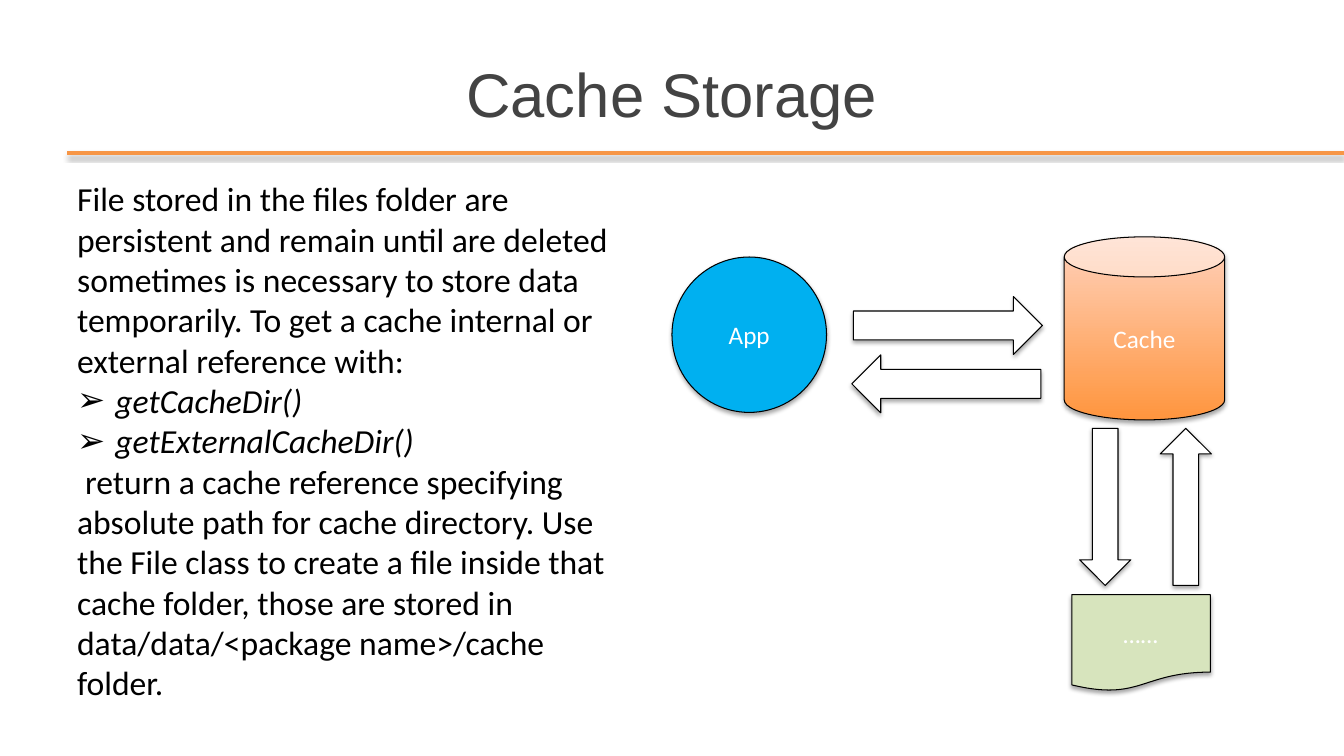
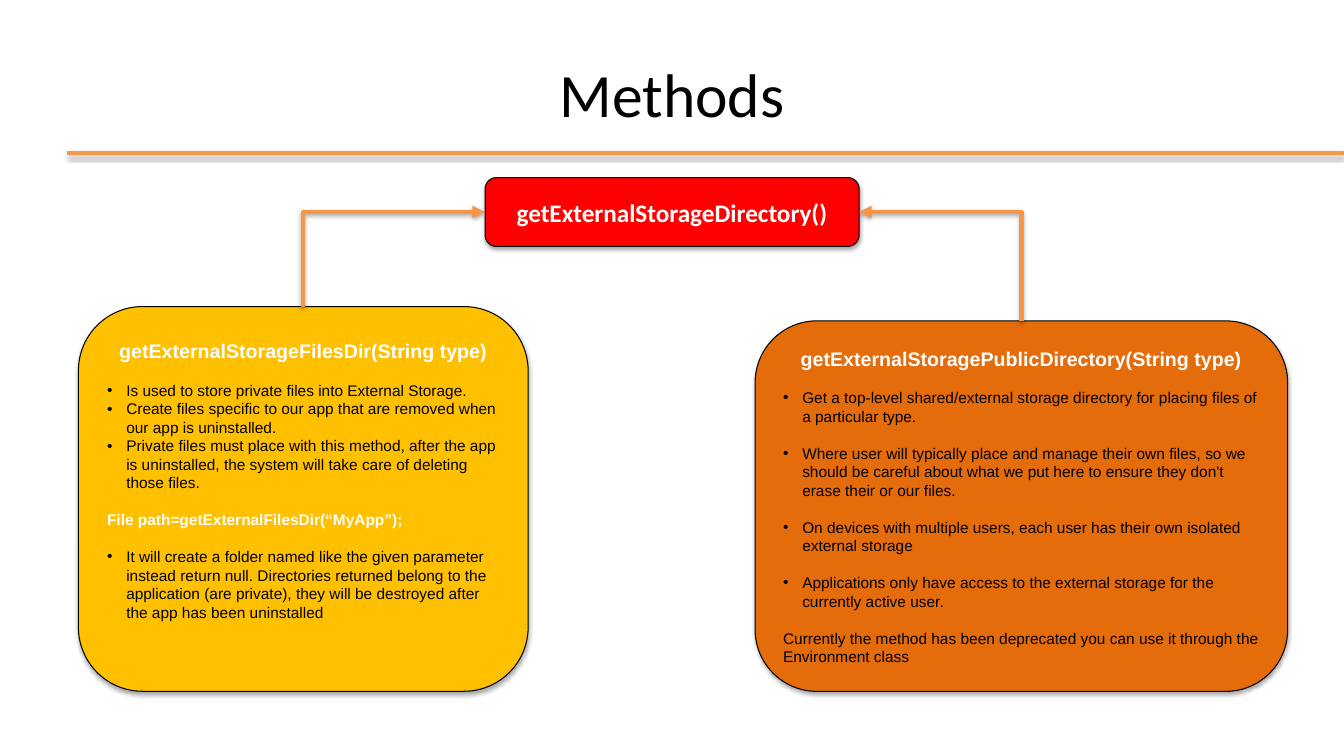
from lxml import etree
from pptx import Presentation, util as u
from pptx.dml.color import RGBColor
from pptx.enum import shapes, text
from pptx.oxml.ns import qn

COLORS = {
    "ink": "000000", "title": "434343", "white": "FFFFFF", "accent": "F79646",
    "app": "00B0F0", "cache_low": "FF953E", "cache_high": "FFD2BD",
    "document": "D7E4BD", "root": "FF0000", "private": "FFC000",
    "public": "E46C0A",
}
COLUMNS, ROWS = 80, 45
LEADING = 1.2
SHAPE = shapes.MSO_SHAPE


def rgb(name):
    return RGBColor.from_string(COLORS[name])


class Deck:
    """Shared style plus the slide being built, on an 80 x 45 grid."""

    def __init__(self):
        self.prs = Presentation()
        self.prs.slide_width = u.Inches(13.33)
        self.prs.slide_height = u.Inches(7.5)
        self.slide = None

    def grid(self, *cells):
        """Turn column, row, column, row ... into lengths."""
        steps = (self.prs.slide_width / COLUMNS, self.prs.slide_height / ROWS)
        return [round(cell * steps[i % 2]) for i, cell in enumerate(cells)]

    def new_slide(self, title, font="Calibri", color="ink"):
        self.slide = self.prs.slides.add_slide(self.prs.slide_layouts[6])
        self.connector(shapes.MSO_CONNECTOR.STRAIGHT, 4, 9.12, 80, 9.12)
        frame = self.text_box(4, 1.8, 72, 7.5)
        frame.vertical_anchor = text.MSO_ANCHOR.MIDDLE
        self.paragraph(frame, title, 44, color, font, center=True)

    def shadow(self, item):
        props = item._element.spPr
        effects = props.find(qn("a:effectLst"))
        if effects is None:
            effects = etree.SubElement(props, qn("a:effectLst"))
        outer = etree.SubElement(effects, qn("a:outerShdw"), blurRad="40000",
                                 dist="23000", dir="5400000", rotWithShape="0")
        black = etree.SubElement(outer, qn("a:srgbClr"), val=COLORS["ink"])
        etree.SubElement(black, qn("a:alpha"), val="35000")

    def connector(self, kind, *ends):
        line = self.slide.shapes.add_connector(kind, *self.grid(*ends))
        line.line.color.rgb = rgb("accent")
        line.line.width = u.Pt(3)
        self.shadow(line)
        return line

    def elbow(self, target, side, source):
        """Bent line from the top of source, with its arrowhead at target."""
        line = self.connector(shapes.MSO_CONNECTOR.ELBOW, 0, 0, 1, 1)
        line.begin_connect(target, side)
        line.end_connect(source, 0)
        props = line._element.spPr
        props.find(qn("a:prstGeom")).set("prst", "bentConnector2")
        etree.SubElement(props.find(qn("a:ln")), qn("a:headEnd"), type="triangle")

    def text_box(self, *cells):
        frame = self.slide.shapes.add_textbox(*self.grid(*cells)).text_frame
        frame.word_wrap = True
        return frame

    def shape(self, kind, cells, fill, label=None, **style):
        item = self.slide.shapes.add_shape(kind, *self.grid(*cells))
        item.shadow.inherit = False
        if isinstance(fill, tuple):
            item.fill.gradient()
            item.fill.gradient_angle = 90
            for stop, color in zip(item.fill.gradient_stops, fill):
                stop.color.rgb = rgb(color)
        else:
            item.fill.solid()
            item.fill.fore_color.rgb = rgb(fill)
        item.line.color.rgb = rgb("ink")
        item.line.width = u.Pt(0.75)
        self.shadow(item)
        item.text_frame.word_wrap = True
        item.text_frame.vertical_anchor = text.MSO_ANCHOR.MIDDLE
        if label:
            self.paragraph(item.text_frame, label, 18, "white", center=True, **style)
        return item

    def paragraph(self, frame, words, size, color="ink", font="Calibri", bold=False,
                  italic=False, center=False, bullet=None, hang=0, first=0,
                  before=0, exact=False):
        """Fill the first paragraph while it is empty, else add one."""
        para = frame.paragraphs[-1]
        if para.text:
            para = frame.add_paragraph()
        para.text = words
        para.alignment = text.PP_ALIGN.CENTER if center else text.PP_ALIGN.LEFT
        para.space_before = u.Pt(before)
        if exact:
            para.line_spacing = u.Pt(size * LEADING)
        props = para._p.get_or_add_pPr()
        props.set("marL", str(u.Inches(hang)))
        props.set("indent", str(u.Inches(first - hang)))
        if bullet:
            etree.SubElement(props, qn("a:buFont"), typeface="Arial")
            etree.SubElement(props, qn("a:buChar"), char=bullet)
        style = para.runs[0].font
        style.name, style.size = font, u.Pt(size)
        style.bold, style.italic = bold, italic
        style.color.rgb = rgb(color)

    def panel(self, cells, fill, heading, items):
        """Rounded panel; items are (kind, gap above in lines, words)."""
        item = self.shape(SHAPE.ROUNDED_RECTANGLE, cells, fill)
        frame = item.text_frame
        self.paragraph(frame, heading, 14, "white", "Arial", bold=True,
                       center=True, exact=True)
        kinds = {"bullet": {"bullet": "•", "hang": 0.19}, "plain": {},
                 "code": {"color": "white", "bold": True}}
        for kind, gap, words in items:
            self.paragraph(frame, words, 11, font="Arial", exact=True,
                           before=gap * 11 * LEADING, **kinds[kind])
        return item


def cache_storage(deck):
    deck.new_slide("Cache Storage", "Arial", "title")

    # Explanation
    body = deck.text_box(4, 10.32, 33.7, 31.68)
    method = {"italic": True, "bullet": "➢", "hang": 0.38}
    for words, style in (
        ("File stored in the files folder are persistent and remain until are "
         "deleted sometimes is necessary to store data temporarily. To get a "
         "cache internal or external reference with:", {}),
        ("getCacheDir()", method),
        ("getExternalCacheDir()", method),
        ("return a cache reference specifying absolute path for cache "
         "directory. Use the File class to create a file inside that cache "
         "folder, those are stored in data/data/<package name>/cache folder.",
         {"first": 0.08}),
    ):
        deck.paragraph(body, words, 24, exact=True, **style)

    # App, cache and stored file
    deck.shape(SHAPE.OVAL, (40, 15.3, 9.2, 9.25), "app", "App")
    deck.shape(SHAPE.CAN, (63.35, 14.1, 9.55, 10.9),
               ("cache_low", "cache_high"), "Cache")
    deck.shape(SHAPE.FLOWCHART_DOCUMENT, (63.8, 35.4, 8.25, 5.75),
               "document", "……", italic=True)

    # Arrows between them
    for kind, cells in (
        (SHAPE.RIGHT_ARROW, (50.8, 17.65, 11.25, 3.45)),
        (SHAPE.LEFT_ARROW, (50.7, 21.12, 11.25, 3.45)),
        (SHAPE.DOWN_ARROW, (64.26, 25.5, 3.05, 9.35)),
        (SHAPE.UP_ARROW, (69.06, 25.5, 3.05, 9.35)),
    ):
        deck.shape(kind, cells, "white")


def methods(deck):
    deck.new_slide("Methods")

    # Root method
    root = deck.shape(SHAPE.ROUNDED_RECTANGLE, (28.87, 10.57, 22.27, 4.1),
                      "root", "getExternalStorageDirectory()", bold=True)

    # Private and public directories
    private = deck.panel(
        (4.67, 18.25, 26.77, 22.9), "private",
        "getExternalStorageFilesDir(String type)", (
            ("bullet", 1, "Is used to store private files into External Storage."),
            ("bullet", 0, "Create files specific to our app that are removed when "
                          "our app is uninstalled."),
            ("bullet", 0, "Private files must place with this method, after the "
                          "app is uninstalled, the system will take care of "
                          "deleting those files."),
            ("code", 1, "File path=getExternalFilesDir(“MyApp”);"),
            ("bullet", 1, "It will create a folder named like the given parameter "
                          "instead return null. Directories returned belong to "
                          "the application (are private), they will be destroyed "
                          "after the app has been uninstalled"),
        ))
    private.text_frame.margin_bottom = u.Inches(0.42)
    public = deck.panel(
        (44.95, 19.1, 31.7, 22.05), "public",
        "getExternalStoragePublicDirectory(String type)", (
            ("bullet", 1, "Get a top-level shared/external storage directory for "
                          "placing files of a particular type."),
            ("bullet", 1, "Where user will typically place and manage their own "
                          "files, so we should be careful about what we put here "
                          "to ensure they don't erase their or our files."),
            ("bullet", 1, "On devices with multiple users, each user has their "
                          "own isolated external storage"),
            ("bullet", 1, "Applications only have access to the external storage "
                          "for the currently active user."),
            ("plain", 1, "Currently the method has been deprecated you can use it "
                         "through the Environment class"),
        ))

    # Links to the root: connection site 1 is its left side, 3 its right
    for side, directory in ((1, private), (3, public)):
        deck.elbow(root, side, directory)


def main():
    deck = Deck()
    cache_storage(deck)
    methods(deck)
    deck.prs.save("out.pptx")


if __name__ == "__main__":
    main()
